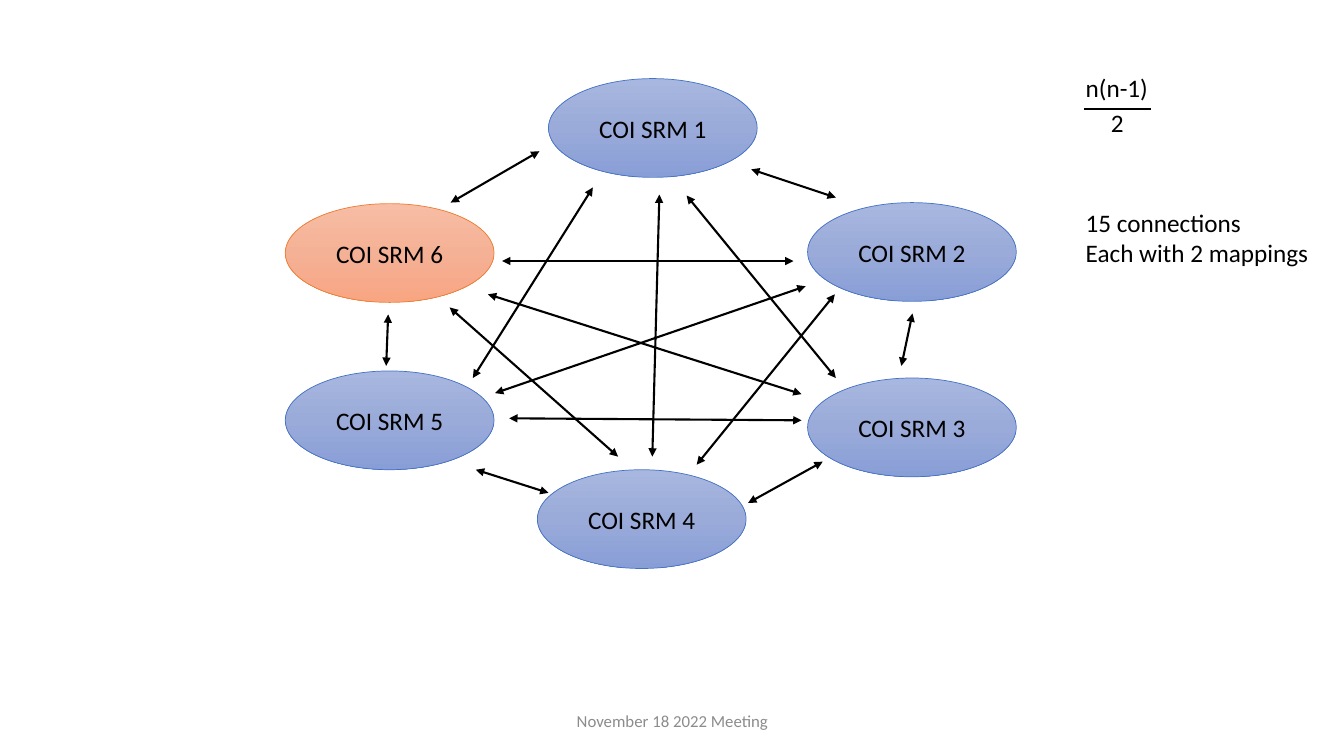
from copy import deepcopy
from dataclasses import dataclass

from lxml import etree
from pptx import Presentation, util as u
from pptx.dml.color import RGBColor
from pptx.enum import shapes, text
from pptx.oxml.ns import qn


@dataclass(frozen=True)
class Theme:
    font: str = "Calibri"
    body: int = 18
    small: int = 12
    ink: str = "000000"
    muted: str = "8C8C8C"
    blue: tuple = ("A8B7DF", "9AABD9", "889ED7")
    blue_edge: str = "4472C4"
    orange: tuple = ("F7BDA5", "F5B196", "F8A582")
    orange_edge: str = "ED7D31"
    edge: float = 0.5
    stroke: float = 1.5


WIDTH, HEIGHT = u.Inches(13.33), u.Inches(7.5)
COLS, ROWS = 133.3, 75
NODE_SIZE = (20.7, 9.8)
NODES = [(54.4, 7.8), (80.1, 20.1), (80.1, 37.5), (53.3, 46.6), (28.3, 36.8), (28.3, 20.2)]
LINKS = {
    (1, 6): (53.5, 15, 44.7, 20.1),
    (1, 5): (58.8, 18.6, 46.9, 37.5),
    (1, 4): (65.4, 19.3, 64.7, 45.3),
    (1, 3): (68.1, 19.4, 82.9, 37.5),
    (1, 2): (74.5, 16.8, 82.9, 19.6),
    (2, 6): (78.7, 25.9, 49.8, 25.9),
    (3, 6): (79.5, 39.1, 48.4, 29.2),
    (4, 6): (61.3, 45.3, 44.6, 30.5),
    (6, 5): (38.5, 31.2, 38.3, 36.3),
    (5, 4): (47.2, 46.6, 54.4, 48.9),
    (3, 4): (81.6, 45.8, 74.2, 49.9),
    (2, 3): (90.5, 31.1, 89.4, 36.3),
    (2, 5): (79.9, 28.4, 49.1, 39),
    (3, 5): (79.5, 41.7, 50.5, 41.5),
    (4, 2): (69.1, 46.1, 82.8, 29.2),
}


class Board:
    def __init__(self, s, theme):
        self.s, self.theme = s, theme

    def place(self, *cells):
        units = (WIDTH / COLS, HEIGHT / ROWS)
        return [u.Emu(round(c * units[i % 2])) for i, c in enumerate(cells)]

    def add_lines(self, sp, lines, size, color, align):
        tf = sp.text_frame
        for i, line in enumerate(lines):
            p = tf.add_paragraph() if i else tf.paragraphs[0]
            p.alignment = align
            r = p.add_run()
            r.text = line
            r.font.name = self.theme.font
            r.font.size = u.Pt(size)
            r.font.color.rgb = RGBColor.from_string(color)

    def node(self, at, label, colors, edge):
        sp = self.s.shapes.add_shape(shapes.MSO_SHAPE.OVAL, *self.place(*at, *NODE_SIZE))
        sp.shadow.inherit = False
        sp.fill.gradient()
        sp.fill.gradient_angle = 270
        stops = sp._element.spPr.find(qn("a:gradFill")).find(qn("a:gsLst"))
        stops.insert(1, deepcopy(stops[0]))
        for stop, color, position in zip(sp.fill.gradient_stops, colors, (0, 0.5, 1)):
            stop.color.rgb = RGBColor.from_string(color)
            stop.position = position
        sp.line.color.rgb = RGBColor.from_string(edge)
        sp.line.width = u.Pt(self.theme.edge)
        sp.text_frame.word_wrap = True
        sp.text_frame.vertical_anchor = text.MSO_ANCHOR.MIDDLE
        self.add_lines(sp, [label], self.theme.body, self.theme.ink, text.PP_ALIGN.CENTER)

    def line(self, ends, arrows=False, group=None):
        parent = group or self.s
        sp = parent.shapes.add_connector(shapes.MSO_CONNECTOR.STRAIGHT, *self.place(*ends))
        sp.line.color.rgb = RGBColor.from_string(self.theme.ink)
        sp.line.width = u.Pt(self.theme.stroke)
        if arrows:
            ln = sp._element.spPr.find(qn("a:ln"))
            for tag in ("a:headEnd", "a:tailEnd"):
                etree.SubElement(ln, qn(tag), type="triangle")
        etree.SubElement(sp._element.spPr, qn("a:effectLst"))

    def note(self, box, lines, group=None):
        parent = group or self.s
        sp = parent.shapes.add_textbox(*self.place(*box))
        sp.text_frame.word_wrap = False
        sp.text_frame.auto_size = text.MSO_AUTO_SIZE.SHAPE_TO_FIT_TEXT
        self.add_lines(sp, lines, self.theme.body, self.theme.ink, text.PP_ALIGN.LEFT)

    def footer(self, box, line):
        sp = self.s.shapes.add_textbox(*self.place(*box))
        sp.text_frame.word_wrap = True
        sp.text_frame.vertical_anchor = text.MSO_ANCHOR.MIDDLE
        self.add_lines(sp, [line], self.theme.small, self.theme.muted, text.PP_ALIGN.CENTER)

    def fraction(self, top, top_box, bottom, bottom_box, bar):
        group = self.s.shapes.add_group_shape()
        self.note(top_box, [top], group)
        self.note(bottom_box, [bottom], group)
        self.line(bar, group=group)


def main():
    prs = Presentation()
    prs.slide_width, prs.slide_height = WIDTH, HEIGHT
    theme = Theme()
    board = Board(prs.slides.add_slide(prs.slide_layouts[6]), theme)
    for number, at in enumerate(NODES, 1):
        last = number == len(NODES)
        colors = theme.orange if last else theme.blue
        edge = theme.orange_edge if last else theme.blue_edge
        board.node(at, f"COI SRM {number}", colors, edge)
    for ends in LINKS.values():
        board.line(ends, arrows=True)
    board.fraction("n(n-1)", (106.7, 6.7, 8.3, 4), "2", (109.2, 10.2, 3.3, 4),
                   (107.5, 10.8, 114.2, 10.8))
    board.note((106.7, 20.1, 24.4, 7.1), ["15 connections", "Each with 2 mappings"])
    board.footer((44.2, 69.5, 45, 4), "November 18 2022 Meeting")
    prs.save("out.pptx")


if __name__ == "__main__":
    main()
